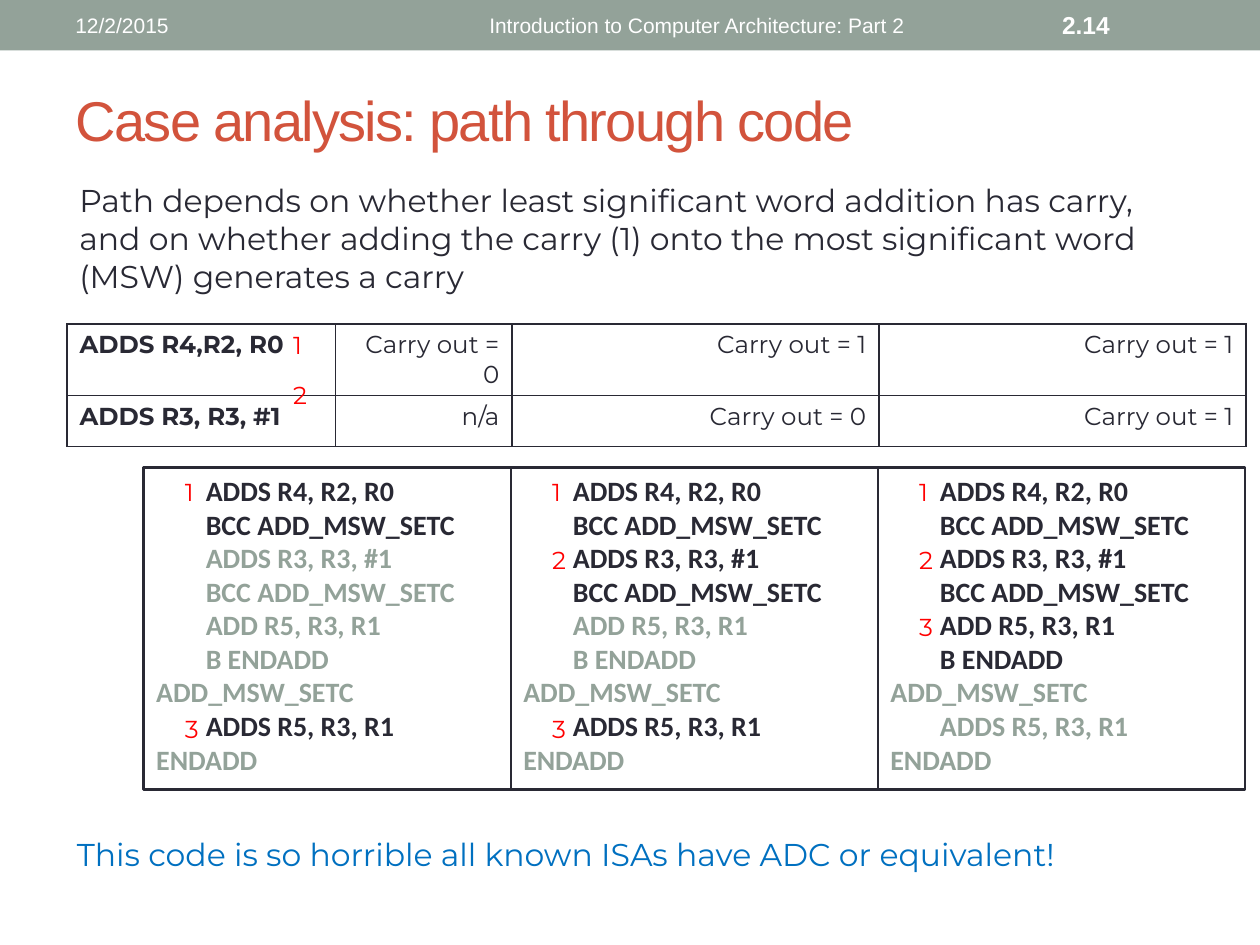
from dataclasses import dataclass

from lxml.etree import SubElement
from pptx import Presentation
from pptx.dml.color import RGBColor
from pptx.enum.shapes import MSO_SHAPE
from pptx.enum.text import MSO_ANCHOR, PP_ALIGN
from pptx.oxml.ns import qn
from pptx.util import Cm, Pt


@dataclass(frozen=True)
class Theme:
    ink: str = "292934"
    sage: str = "93A299"
    rust: str = "D2533C"
    blue: str = "0070C0"
    red: str = "FF0000"
    white: str = "FFFFFF"
    sans: str = "Arial"
    body: str = "Montserrat"
    code: str = "Calibri"
    title: int = 32
    text: int = 18
    list: int = 16
    cell: int = 14
    bar: int = 12


T = Theme()
CODE = [
    "\tADDS R4, R2, R0",
    "\tBCC ADD_MSW_SETC",
    "\tADDS R3, R3, #1",
    "\tBCC ADD_MSW_SETC",
    "\tADD R5, R3, R1",
    "\tB ENDADD",
    "ADD_MSW_SETC",
    "\tADDS R5, R3, R1",
    "ENDADD",
]
STEPS = {0: "1", 2: "2", 4: "3", 7: "3"}  # code line: step number
CASES = [{0, 1, 7}, {0, 1, 2, 3, 7}, {0, 1, 2, 3, 4, 5}]  # lines that run
ROWS = [
    ["ADDS R4,R2, R0", "Carry out = 0", "Carry out = 1", "Carry out = 1"],
    ["ADDS R3, R3, #1", "n/a", "Carry out = 0", "Carry out = 1"],
]
CASE_W = 7.4
CODE_X, CODE_Y = 2.9, 9.42
LINE_H = 0.68
TABLE_X, TABLE_Y = 1.35, 6.53


def write(para, text, color, align=PP_ALIGN.LEFT, **form):
    """Add one run; form holds font values such as name, size and bold."""
    para.alignment = align
    run = para.add_run()
    run.text = text
    run.font.color.rgb = RGBColor.from_string(color)
    for key, value in form.items():
        setattr(run.font, key, Pt(value) if key == "size" else value)
    return run


def add_text(slide, area, text, color, anchor=MSO_ANCHOR.TOP, **form):
    frame = slide.shapes.add_textbox(*map(Cm, area)).text_frame
    frame.word_wrap = True
    frame.vertical_anchor = anchor
    write(frame.paragraphs[0], text, color, **form)


def add_box(slide, area, fill=None, line=None):
    box = slide.shapes.add_shape(MSO_SHAPE.RECTANGLE, *map(Cm, area))
    box.shadow.inherit = False
    if fill:
        box.fill.solid()
        box.fill.fore_color.rgb = RGBColor.from_string(fill)
    else:
        box.fill.background()
    if line:
        box.line.color.rgb = RGBColor.from_string(line)
        box.line.width = Pt(1.5)
    else:
        box.line.fill.background()
    return box


def add_mark(slide, left, top, text):
    add_text(slide, (left, top, 0.84, 0.86), text, T.red, name=T.body, size=T.cell)


def add_bar(slide):
    add_box(slide, (0, 0, 25.4, 1.02), fill=T.sage)
    form = {"name": T.sans, "size": T.bar, "anchor": MSO_ANCHOR.MIDDLE}
    items = [
        (1.27, 5.23, "12/2/2015", {}),
        (7.06, 11.43, "Introduction to Computer Architecture: Part 2",
         {"align": PP_ALIGN.RIGHT}),
        (21.16, 2.97, "2.14", {"size": T.cell, "bold": True}),
    ]
    for left, width, text, extra in items:
        add_text(slide, (left, 0.05, width, 0.91), text, T.white, **{**form, **extra})


def set_title(slide, text):
    title = slide.shapes.title
    place = {"left": 1.27, "top": 1.47, "width": 22.86, "height": 1.85}
    for key, value in place.items():
        setattr(title, key, Cm(value))
    frame = title.text_frame
    frame.vertical_anchor = MSO_ANCHOR.MIDDLE
    run = write(frame.paragraphs[0], text, T.rust, name=T.sans, size=T.title)
    run.font._element.set("spc", "-100")


def set_edges(cell):
    props = cell._tc.get_or_add_tcPr()
    for side in ("a:lnL", "a:lnR", "a:lnT", "a:lnB"):
        edge = SubElement(props, qn(side), w=str(Pt(1)))
        fill = SubElement(edge, qn("a:solidFill"))
        SubElement(fill, qn("a:srgbClr"), val=T.ink)


def add_carries(slide):
    widths = [5.41, 3.56, CASE_W, CASE_W]
    table = slide.shapes.add_table(
        len(ROWS), len(widths), Cm(TABLE_X), Cm(TABLE_Y),
        Cm(sum(widths)), Cm(1.03 * len(ROWS))).table
    table.first_row = table.horz_banding = False
    for col, width in zip(table.columns, widths):
        col.width = Cm(width)
    for r, row in enumerate(ROWS):
        for c, text in enumerate(row):
            cell = table.cell(r, c)
            set_edges(cell)
            cell.fill.background()
            write(cell.text_frame.paragraphs[0], text, T.ink,
                  align=PP_ALIGN.RIGHT if c else PP_ALIGN.LEFT,
                  name=T.body, size=T.cell, bold=c == 0)


def add_case(slide, left, live):
    """Draw the listing with the lines that run in dark ink."""
    frame = add_box(slide, (left, CODE_Y, CASE_W, 6.5), line=T.ink).text_frame
    frame.word_wrap = True
    frame.vertical_anchor = MSO_ANCHOR.TOP
    for n, text in enumerate(CODE):
        para = frame.add_paragraph() if n else frame.paragraphs[0]
        tabs = SubElement(para._p.get_or_add_pPr(), qn("a:tabLst"))
        SubElement(tabs, qn("a:tab"), pos=str(Cm(1)), algn="l")
        write(para, text, T.ink if n in live else T.sage,
              name=T.code, size=T.list, bold=True)
    for n, step in STEPS.items():
        if n in live:
            add_mark(slide, left + 0.58, CODE_Y + 0.08 + n * LINE_H, step)


def main():
    deck = Presentation()
    deck.slide_width, deck.slide_height = Cm(25.4), Cm(19.05)
    slide = deck.slides.add_slide(deck.slide_layouts[5])
    add_bar(slide)
    set_title(slide, "Case analysis: path through code")
    add_text(slide, (TABLE_X, 3.53, 21.97, 2.57),
             "Path depends on whether least significant word addition has carry, "
             "and on whether adding the carry (1) onto the most significant word "
             "(MSW) generates a carry", T.ink, name=T.body, size=T.text)
    add_carries(slide)
    for n, step in enumerate("12"):
        add_mark(slide, 5.66, TABLE_Y + n, step)
    for n, live in enumerate(CASES):
        add_case(slide, CODE_X + n * CASE_W, live)
    add_text(slide, (1.3, 16.71, 22.76, 1.02),
             "This code is so horrible all known ISAs have ADC or equivalent!",
             T.blue, name=T.body, size=T.text)
    deck.save("out.pptx")


if __name__ == "__main__":
    main()
